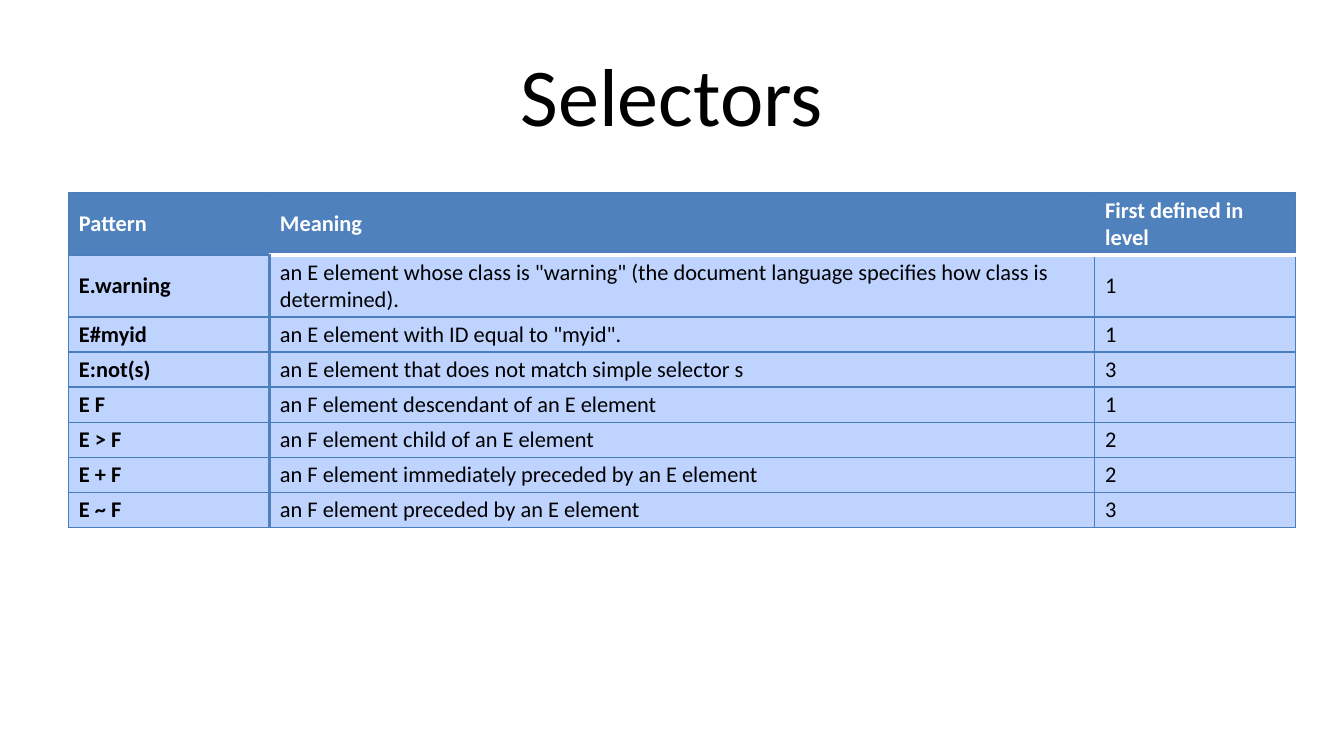
from pptx import Presentation
from pptx.dml.color import RGBColor
from pptx.enum.text import MSO_ANCHOR, PP_ALIGN
from pptx.oxml.ns import qn
from pptx.util import Pt
from lxml.etree import SubElement

HUES = {"head": "4F81BD", "body": "BFD3FF", "line": "4B7EBC",
        "white": "FFFFFF", "black": "000000"}
ROWS = [
    ("Pattern", "Meaning", "First defined in level"),
    ("E.warning", 'an E element whose class is "warning" (the document '
     "language specifies how class is determined).", "1"),
    ("E#myid", 'an E element with ID equal to "myid".', "1"),
    ("E:not(s)", "an E element that does not match simple selector s", "3"),
    ("E F", "an F element descendant of an E element", "1"),
    ("E > F", "an F element child of an E element", "2"),
    ("E + F", "an F element immediately preceded by an E element", "2"),
    ("E ~ F", "an F element preceded by an E element", "3"),
]
WIDTHS = [107.7, 442.1, 107.7]
INSET = {"margin_left": Pt(5.6), "margin_right": Pt(5.6),
         "margin_top": Pt(2.2), "margin_bottom": Pt(2.2),
         "vertical_anchor": MSO_ANCHOR.MIDDLE}


def style(text, hue, **form):
    font = text.paragraphs[0].runs[0].font
    for key, val in {"name": "Calibri", **form}.items():
        setattr(font, key, val)
    font.color.rgb = RGBColor.from_string(HUES[hue])


def edge(cell, side, hue, width):
    line = SubElement(cell._tc.get_or_add_tcPr(), qn(f"a:ln{side}"), w=str(Pt(width)))
    fill = SubElement(line, qn("a:solidFill"))
    SubElement(fill, qn("a:srgbClr"), val=HUES[hue])


deck = Presentation()
deck.slide_width, deck.slide_height = Pt(720), Pt(405)
slide = deck.slides.add_slide(deck.slide_layouts[6])

title = slide.shapes.add_textbox(Pt(36), Pt(16.2), Pt(648), Pt(67.5)).text_frame
title.word_wrap = True
title.vertical_anchor = MSO_ANCHOR.MIDDLE
title.text = "Selectors"
title.paragraphs[0].alignment = PP_ALIGN.CENTER
style(title, "black", size=Pt(44))

frame = slide.shapes.add_table(len(ROWS), len(WIDTHS), Pt(36.7), Pt(103.4),
                               Pt(sum(WIDTHS)), Pt(178.5))
table = frame.table
for col, width in zip(table.columns, WIDTHS):
    col.width = Pt(width)

for r, row in enumerate(ROWS):
    table.rows[r].height = Pt(33.1 if r < 2 else 18.7)
    for c, word in enumerate(row):
        cell = table.cell(r, c)
        cell.text = word
        for key, val in INSET.items():
            setattr(cell, key, val)
        style(cell.text_frame, "black" if r else "white", size=Pt(12),
              bold=r == 0 or c == 0)
        thin, rule, split = ("line", 0.75), ("white", 2), ("head", 2)
        edge(cell, "L", *(split if r and c == 1 else thin))
        edge(cell, "R", *(split if r and c == 0 else thin))
        edge(cell, "T", *(rule if r == 1 and c else thin))
        edge(cell, "B", *(rule if r == 0 and c else thin))
        cell.fill.solid()
        cell.fill.fore_color.rgb = RGBColor.from_string(HUES["body" if r else "head"])

deck.save("out.pptx")
